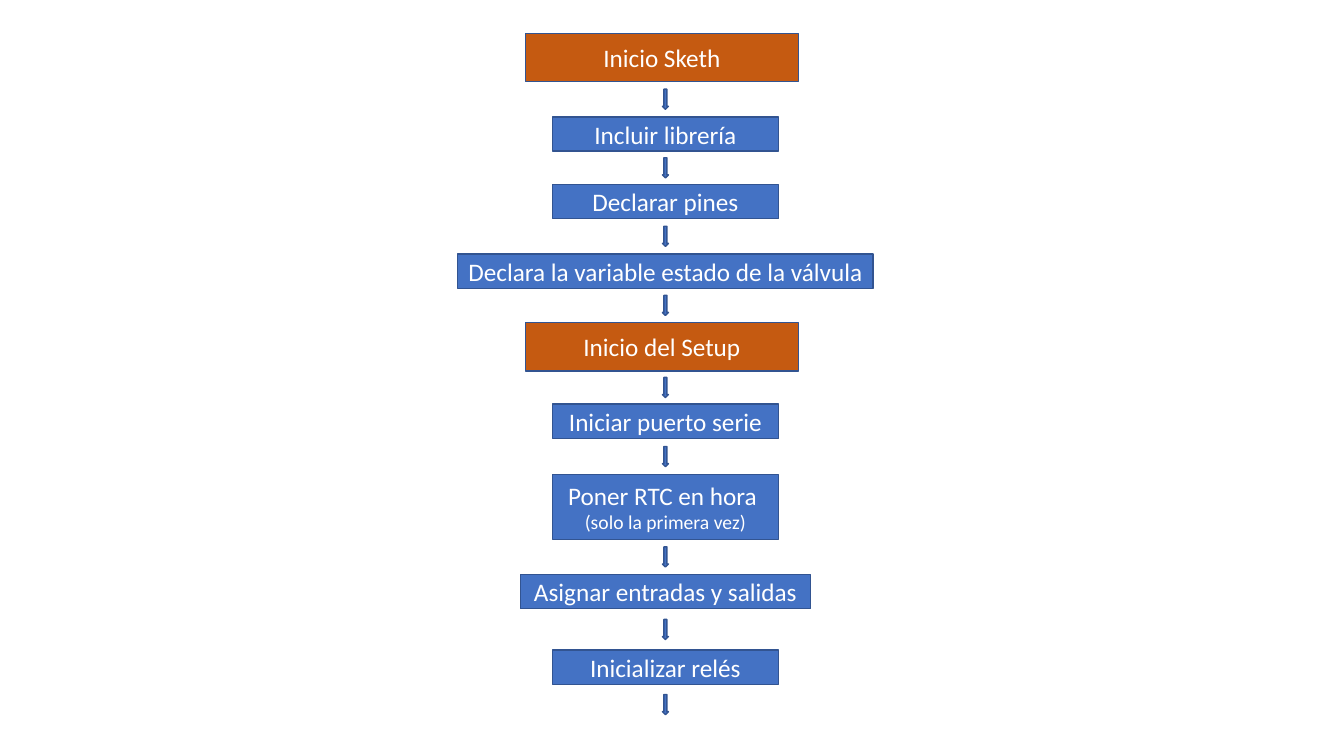
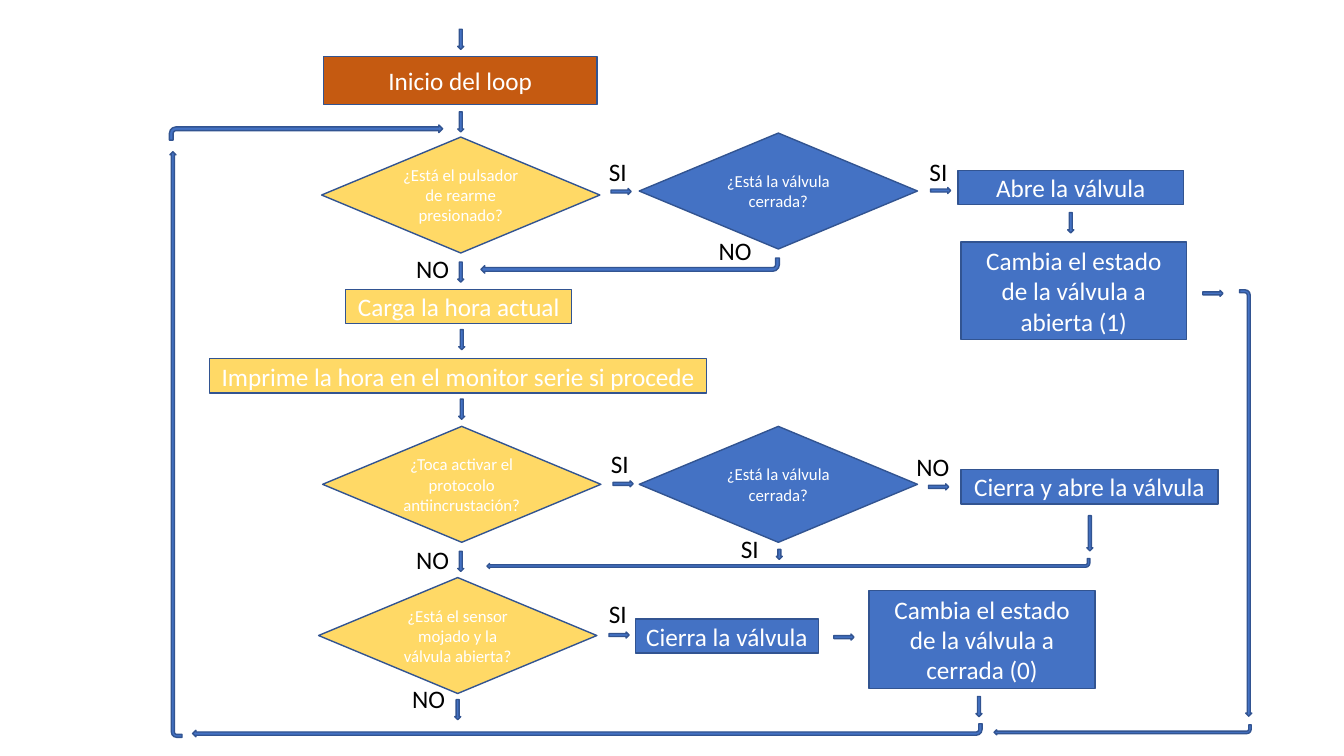
"""Flow charts of an irrigation valve sketch: setup and main loop."""
from itertools import zip_longest

from pptx import Presentation
from pptx.dml.color import RGBColor
from pptx.enum.shapes import MSO_SHAPE
from pptx.enum.text import MSO_ANCHOR, MSO_AUTO_SIZE, PP_ALIGN
from pptx.util import Inches, Pt

BLUE = RGBColor(0x44, 0x72, 0xC4)
ORANGE = RGBColor(0xC5, 0x5A, 0x11)
YELLOW = RGBColor(0xFF, 0xD9, 0x66)
OUTLINE = RGBColor(0x32, 0x54, 0x91)
WHITE = RGBColor(0xFF, 0xFF, 0xFF)
BLACK = RGBColor(0x00, 0x00, 0x00)

FONT = "Calibri"
BLANK_LAYOUT = 6
START_SIZE = (2.71, 0.48)
STEP_WIDTH = 2.24
STEP_HEIGHT = 0.34
STATE_HEIGHT = 0.97
DECISION_SIZE = (2.76, 1.15)
ARROW_WIDTH = 0.06
ARROW_LENGTH = 0.2
COLUMN_CENTRE = 6.6
START_LEFT = 5.21
LAST_ARROW_GAP = 0.1
DOWN, RIGHT = 0, 270

SHAPE_TEXT = {"word_wrap": True, "vertical_anchor": MSO_ANCHOR.MIDDLE}
LABEL_TEXT = {"word_wrap": False, "auto_size": MSO_AUTO_SIZE.SHAPE_TO_FIT_TEXT}


def apply_format(target, values):
    """Set every attribute named in values on the target."""
    for name, value in values.items():
        setattr(target, name, value)


def write_lines(frame, lines, color, alignment):
    """Write (text, size) pairs as the paragraphs of a text frame."""
    for index, (text, size) in enumerate(lines):
        para = frame.add_paragraph() if index else frame.paragraphs[0]
        para.alignment = alignment
        span = para.add_run()
        span.text = text
        apply_format(span.font, {"name": FONT, "size": Pt(size)})
        span.font.color.rgb = color


def add_outlined(page, kind, left, top, width, height, fill=BLUE, rotation=0):
    """Add a filled preset shape with the common outline."""
    shape = page.shapes.add_shape(
        kind, Inches(left), Inches(top), Inches(width), Inches(height))
    shape.shadow.inherit = False
    shape.fill.solid()
    shape.fill.fore_color.rgb = fill
    shape.line.color.rgb = OUTLINE
    shape.line.width = Pt(1)
    shape.rotation = rotation
    return shape


def add_node(page, kind, bounds, fill, lines):
    """Add a flow chart node with centred white text."""
    node = add_outlined(page, kind, *bounds, fill)
    apply_format(node.text_frame, SHAPE_TEXT)
    write_lines(node.text_frame, lines, WHITE, PP_ALIGN.CENTER)


def add_box(page, bounds, fill, *lines):
    """Add a rectangular step."""
    add_node(page, MSO_SHAPE.RECTANGLE, bounds, fill, lines)


def add_decision(page, left, top, fill, question):
    """Add a decision diamond."""
    add_node(page, MSO_SHAPE.FLOWCHART_DECISION, (left, top, *DECISION_SIZE),
             fill, [(question, 12)])


def add_arrow(page, centre, middle, rotation=DOWN, length=ARROW_LENGTH):
    """Add a short block arrow around a centre point."""
    add_outlined(page, MSO_SHAPE.DOWN_ARROW, centre - ARROW_WIDTH / 2,
                 middle - length / 2, ARROW_WIDTH, length, rotation=rotation)


def add_label(page, left, top, text):
    """Add the answer that belongs to a decision exit."""
    width = 0.54 if text == "NO" else 0.39
    box = page.shapes.add_textbox(
        Inches(left), Inches(top), Inches(width), Inches(0.4))
    apply_format(box.text_frame, LABEL_TEXT)
    write_lines(box.text_frame, [(text, 18)], BLACK, PP_ALIGN.LEFT)


def build_setup(page):
    """Stack the setup steps in a column, an arrow in each gap."""
    steps = [
        (0.33, *START_SIZE, ORANGE, [("Inicio Sketh", 18)]),
        (1.16, STEP_WIDTH, STEP_HEIGHT, BLUE, [("Incluir librería", 18)]),
        (1.83, STEP_WIDTH, STEP_HEIGHT, BLUE, [("Declarar pines", 18)]),
        (2.52, 4.12, STEP_HEIGHT, BLUE,
         [("Declara la variable estado de la válvula", 18)]),
        (3.2, *START_SIZE, ORANGE, [("Inicio del Setup", 18)]),
        (4.01, STEP_WIDTH, STEP_HEIGHT, BLUE, [("Iniciar puerto serie", 18)]),
        (4.71, STEP_WIDTH, 0.64, BLUE,
         [("Poner RTC en hora ", 18), ("(solo la primera vez)", 14)]),
        (5.7, 2.88, STEP_HEIGHT, BLUE, [("Asignar entradas y salidas", 18)]),
        (6.45, STEP_WIDTH, STEP_HEIGHT, BLUE, [("Inicializar relés", 18)]),
    ]
    for step, following in zip_longest(steps, steps[1:]):
        top, width, height, fill, lines = step
        left = START_LEFT if fill == ORANGE else COLUMN_CENTRE - width / 2
        add_box(page, (left, top, width, height), fill, *lines)
        bottom = top + height
        next_top = (following[0] if following
                    else bottom + ARROW_LENGTH + 2 * LAST_ARROW_GAP)
        add_arrow(page, COLUMN_CENTRE, (bottom + next_top) / 2)


def build_loop(page):
    """Lay out the main loop with its decisions and return paths."""
    boxes = [
        (3.21, 0.56, *START_SIZE, ORANGE, "Inicio del loop"),
        (9.5, 1.69, STEP_WIDTH, STEP_HEIGHT, BLUE, "Abre la válvula"),
        (9.53, 2.4, STEP_WIDTH, STATE_HEIGHT, BLUE,
         "Cambia el estado de la válvula a abierta (1)"),
        (3.43, 2.87, STEP_WIDTH, STEP_HEIGHT, YELLOW, "Carga la hora actual"),
        (2.08, 3.56, 4.93, STEP_HEIGHT, YELLOW,
         "Imprime la hora en el monitor serie si procede"),
        (9.53, 4.66, 2.55, STEP_HEIGHT, BLUE, "Cierra y abre la válvula"),
        (6.3, 6.14, 1.82, STEP_HEIGHT, BLUE, "Cierra la válvula"),
        (8.62, 5.86, STEP_WIDTH, STATE_HEIGHT, BLUE,
         "Cambia el estado de la válvula a cerrada (0)"),
    ]
    decisions = [
        (3.19, 1.36, YELLOW, "¿Está el pulsador de rearme presionado?"),
        (6.34, 1.32, BLUE, "¿Está la válvula cerrada?"),
        (3.2, 4.23, YELLOW, "¿Toca activar el protocolo antiincrustación?"),
        (6.34, 4.23, BLUE, "¿Está la válvula cerrada?"),
        (3.16, 5.73, YELLOW, "¿Está el sensor mojado y la válvula abierta?"),
    ]
    down_arrows = [
        (4.57, 0.39), (4.57, 1.21), (4.57, 2.7), (4.58, 3.37), (4.58, 4.06),
        (4.57, 5.57), (4.54, 7.04), (10.62, 2.21), (9.71, 7.01),
    ]
    right_arrows = [
        (6.16, 1.9), (9.33, 1.89), (12.03, 2.91), (6.18, 4.8), (9.31, 4.83),
        (6.14, 6.3), (8.37, 6.32),
    ]
    return_paths = [
        (4.77, 2.56, 2.96, 0.15, 180),
        (4.83, 5.54, 5.98, 0.1, 180),
        (1.91, 7.18, 7.83, 0.13, 180),
        (9.86, 7.19, 2.55, 0.1, 180),
        (10.24, 4.93, 4.23, 0.12, 90),
        (-1.16, 4.35, 5.81, 0.12, 270),
        (1.68, 1.24, 2.71, 0.15, 0),
    ]
    labels = [
        (5.94, 1.5, "SI"), (9.12, 1.5, "SI"), (7.03, 2.29, "NO"),
        (4.03, 2.46, "NO"), (5.96, 4.4, "SI"), (8.99, 4.43, "NO"),
        (7.25, 5.24, "SI"), (4.03, 5.35, "NO"), (5.94, 5.89, "SI"),
        (3.99, 6.73, "NO"),
    ]
    for *bounds, fill, text in boxes:
        add_box(page, bounds, fill, (text, 18))
    for decision in decisions:
        add_decision(page, *decision)
    for centre, middle in down_arrows:
        add_arrow(page, centre, middle)
    for centre, middle in right_arrows:
        add_arrow(page, centre, middle, RIGHT)
    add_arrow(page, 7.73, 5.5, length=0.1)
    add_arrow(page, 10.81, 5.29, length=0.35)
    for *bounds, rotation in return_paths:
        add_outlined(page, MSO_SHAPE.BENT_ARROW, *bounds, rotation=rotation)
    for label in labels:
        add_label(page, *label)


def main():
    """Build both flow charts and save the deck."""
    deck = Presentation()
    apply_format(deck, {"slide_width": Inches(13.33),
                        "slide_height": Inches(7.5)})
    for build in (build_setup, build_loop):
        build(deck.slides.add_slide(deck.slide_layouts[BLANK_LAYOUT]))
    deck.save("out.pptx")


if __name__ == "__main__":
    main()
